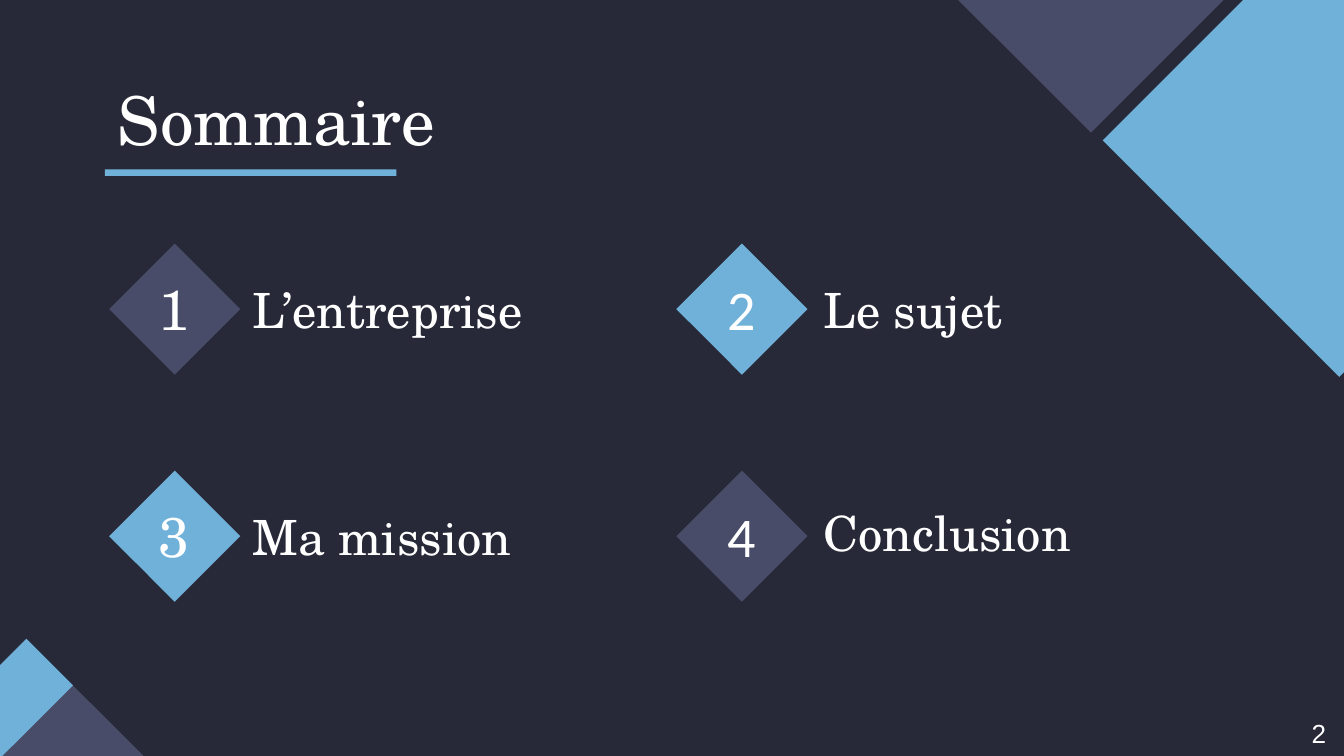
import pptx
import pptx.util
import pptx.dml.color
import pptx.enum.shapes
import pptx.enum.text

WIDE = 10
HIGH = WIDE * 9 / 16
NIGHT, SLATE, SKY, WHITE = "282938", "484C68", "70B1DA", "FFFFFF"
SERIF, SANS, PLAIN = "TeX Gyre Schola", "Calibri", "Arial"

# Content: number, its font, diamond fill, label, label shift
ITEMS = [
    ("1", SERIF, SLATE, "L’entreprise", 0),
    ("2", SANS, SKY, "Le sujet", 0),
    ("3", SERIF, SKY, "Ma mission", 0),
    ("4", SANS, SLATE, "Conclusion", -0.03),
]
# Corner decoration: left, top, width, height, fill
CORNERS = [
    (-0.12, 5.18, 0.93, 1.34, SLATE),
    (-0.35, 4.73, 0.49, 1.34, SKY),
    (8.72, -0.2, 2.49, 2.49, SKY),
    (7.18, -0.83, 1.69, 1.43, SLATE),
]

# Grid: diamond centres and label edges by column, centres by row
MIDS, EDGES, ROWS = (1.3, 5.52), (1.78, 6.03), (2.3, 3.99)
SIDE = 0.69

inch = pptx.util.Inches
align = pptx.enum.text.PP_ALIGN
anchor = pptx.enum.text.MSO_ANCHOR


def color(code):
    return pptx.dml.color.RGBColor.from_string(code)


def block(x, y, w, h, fill, turn=0):
    kind = pptx.enum.shapes.MSO_SHAPE.RECTANGLE
    shape = slide.shapes.add_shape(kind, inch(x), inch(y), inch(w), inch(h))
    shape.shadow.inherit = False
    shape.fill.solid()
    shape.fill.fore_color.rgb = color(fill)
    shape.line.fill.background()
    shape.rotation = turn


def label(x, y, w, h, words, size, face=SERIF, side=align.LEFT, pad=0.1):
    frame = slide.shapes.add_textbox(inch(x), inch(y), inch(w), inch(h)).text_frame
    frame.word_wrap = True
    frame.vertical_anchor = anchor.MIDDLE
    frame.margin_left = frame.margin_right = inch(0.1)
    frame.margin_top = frame.margin_bottom = inch(pad)
    line = frame.paragraphs[0]
    line.text = words
    line.alignment = side
    line.font.size = pptx.util.Pt(size)
    line.font.name = face
    line.font.color.rgb = color(WHITE)
    return frame


deck = pptx.Presentation()
deck.slide_width, deck.slide_height = inch(WIDE), inch(HIGH)
slide = deck.slides.add_slide(deck.slide_layouts[6])
slide.background.fill.solid()
slide.background.fill.fore_color.rgb = color(NIGHT)

# Corners
for x, y, w, h, fill in CORNERS:
    block(x, y, w, h, fill, 45)

# Title and its rule
label(0.78, 0.59, 8.44, 0.59, "Sommaire", 36)
block(0.78, 1.26, 2.17, 0.05, SKY)

# Numbered items, two to a row
for i, (digit, face, fill, words, shift) in enumerate(ITEMS):
    row, col = divmod(i, 2)
    mid, level = MIDS[col], ROWS[row]
    block(mid - SIDE / 2, level - SIDE / 2, SIDE, SIDE, fill, 45)
    label(mid - 0.33, level - 0.29, 0.65, 0.57, digit, 30, face, align.CENTER)
    label(EDGES[col], level - 0.35 + shift, 3.19, 0.7, words, 26)

# Page number
page = label(9.66, 5.29, 0.28, 0.34, "2", 14, PLAIN, pad=0.05)
page.word_wrap = False
page.vertical_anchor = anchor.TOP
page.auto_size = pptx.enum.text.MSO_AUTO_SIZE.SHAPE_TO_FIT_TEXT

deck.save("out.pptx")
